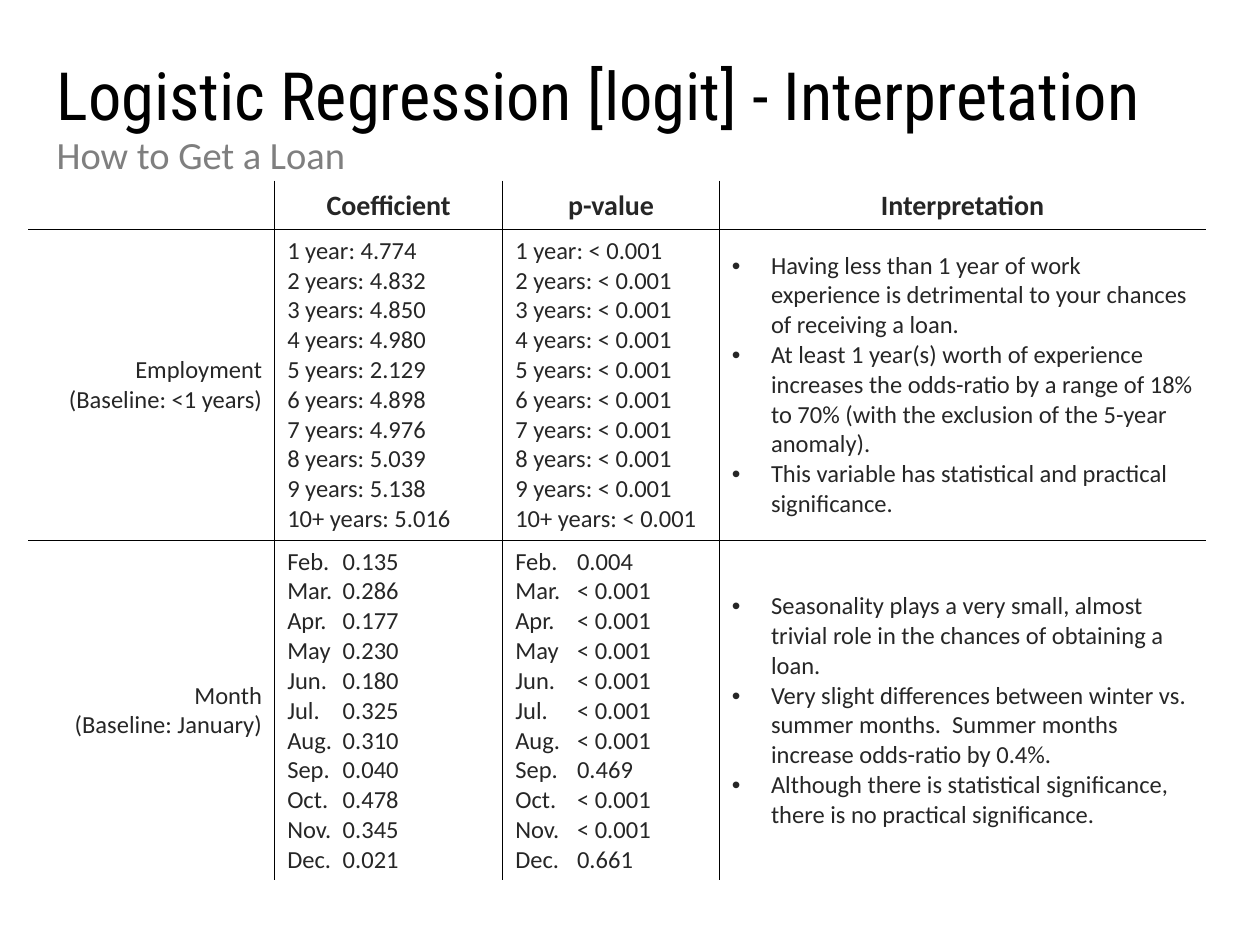
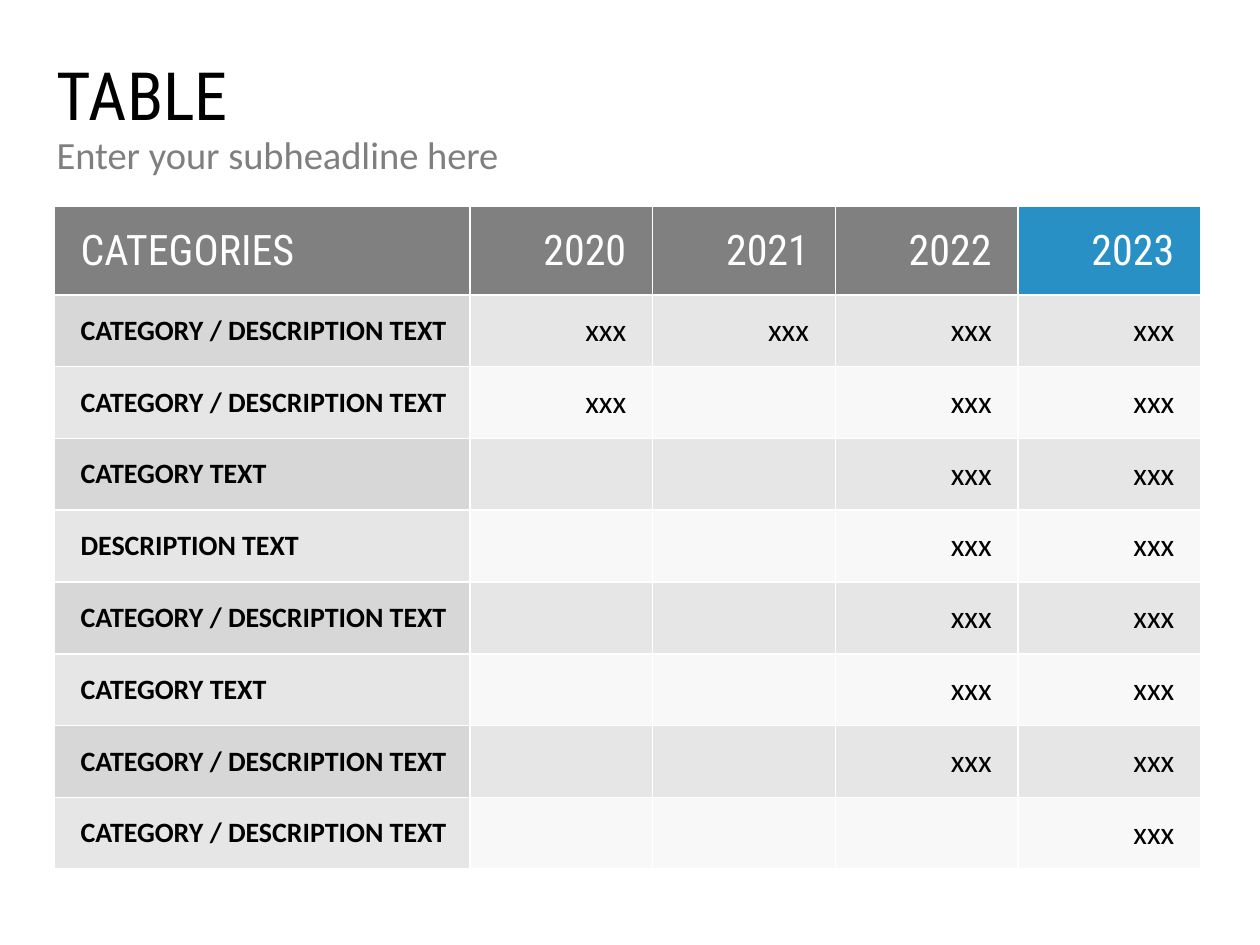
from lxml.etree import SubElement
from pptx import Presentation
from pptx.dml.color import RGBColor
from pptx.enum.text import MSO_ANCHOR, PP_ALIGN
from pptx.oxml.ns import qn
from pptx.util import Pt

PX = 9144
BODY, HEAD = "Calibri", "Roboto Condensed"
HUE = {
    "black": "000000", "white": "FFFFFF", "ink": "262626",
    "sub": "7F7F7F", "bar": "808080", "blue": "2890C4",
    "dark": "D7D7D7", "mid": "E6E6E6", "pale": "F8F8F8",
}
FONT = {
    "title": {"name": HEAD, "size": Pt(38), "hue": "black"},
    "sub": {"name": BODY, "size": Pt(22), "hue": "sub"},
    "top": {"name": BODY, "size": Pt(16), "bold": True, "hue": "ink"},
    "note": {"name": BODY, "size": Pt(14), "bold": False, "hue": "ink"},
    "year": {"name": HEAD, "size": Pt(24), "bold": False, "hue": "white"},
    "label": {"name": BODY, "size": Pt(16), "bold": True, "hue": "black"},
    "mark": {"name": BODY, "size": Pt(18), "bold": False, "hue": "black"},
}
LEFT, MID, RIGHT = PP_ALIGN.LEFT, PP_ALIGN.CENTER, PP_ALIGN.RIGHT
SIDES = ("L", "R", "T", "B")

TOPS = ["", "Coefficient", "p-value", "Interpretation"]
TERMS = ["1 year"] + [f"{n} years" for n in (*range(2, 10), "10+")]
WORK = ["4.774", "4.832", "4.850", "4.980", "2.129",
        "4.898", "4.976", "5.039", "5.138", "5.016"]
MONTHS = ["Feb.", "Mar.", "Apr.", "May", "Jun.", "Jul.",
          "Aug.", "Sep.", "Oct.", "Nov.", "Dec."]
SEASON = ["0.135", "0.286", "0.177", "0.230", "0.180", "0.325",
          "0.310", "0.040", "0.478", "0.345", "0.021"]
LOW = "< 0.001"
ODDS = ["0.004", *[LOW] * 6, "0.469", LOW, LOW, "0.661"]
WORK_NOTES = [
    "Having less than 1 year of work experience is detrimental to your "
    "chances of receiving a loan.",
    "At least 1 year(s) worth of experience increases the odds-ratio by a "
    "range of 18% to 70% (with the exclusion of the 5-year anomaly).",
    "This variable has statistical and practical significance.",
]
MONTH_NOTES = [
    "Seasonality plays a very small, almost trivial role in the chances of "
    "obtaining a loan.",
    "Very slight differences between winter vs. summer months.  Summer "
    "months increase odds-ratio by 0.4%.",
    "Although there is statistical significance, there is no practical "
    "significance.",
]

BOTH, CAT, DESC = "CATEGORY / DESCRIPTION TEXT", "CATEGORY TEXT", "DESCRIPTION TEXT"
YEARS = ["CATEGORIES", "2020", "2021", "2022", "2023"]
MARKS = [(BOTH, "1111"), (BOTH, "1011"), (CAT, "0011"), (DESC, "0011"),
         (BOTH, "0011"), (CAT, "0011"), (BOTH, "0011"), (BOTH, "0001")]


def rgb(hue):
    """Return the named colour."""
    return RGBColor.from_string(HUE[hue])


def apply(item, vals):
    """Set each attribute of item from a dict."""
    for name, val in vals.items():
        setattr(item, name, val)


def write(para, text, kind):
    """Write text in a named font, or size the paragraph if it is empty."""
    look = dict(FONT[kind])
    hue = look.pop("hue")
    if not text:
        SubElement(para._p, qn("a:endParaRPr"), sz=str(int(look["size"].pt * 100)))
        return
    run = para.add_run()
    run.text = text
    apply(run.font, look)
    run.font.color.rgb = rgb(hue)


def box(slide, top, high, text, kind):
    """Add one heading line across the slide."""
    shape = slide.shapes.add_textbox(45 * PX, top * PX, 910 * PX, high * PX)
    frame = shape.text_frame
    apply(frame, {"word_wrap": True, "margin_left": 0, "margin_right": 10 * PX,
                  "margin_top": 5 * PX, "margin_bottom": 5 * PX})
    para = frame.paragraphs[0]
    para.line_spacing = 0.9
    write(para, text, kind)


def heads(slide, title, sub):
    """Add the title and the line below it."""
    box(slide, 45, 117, title, "title")
    box(slide, 103, 59, sub, "sub")


def grid(slide, left, top, cols, rows):
    """Add a plain table with given column widths and row heights."""
    shape = slide.shapes.add_table(len(rows), len(cols), left * PX, top * PX,
                                   sum(cols) * PX, sum(rows) * PX)
    table = shape.table
    apply(table, {"first_row": False, "horz_banding": False})
    for col, wide in zip(table.columns, cols):
        col.width = wide * PX
    for row, high in zip(table.rows, rows):
        row.height = high * PX
    return table


def edge(cell, hues):
    """Draw the cell's borders in left, right, top, bottom order."""
    props = cell._tc.get_or_add_tcPr()
    for side, hue in zip(SIDES, hues):
        line = SubElement(props, qn(f"a:ln{side}"), w=str(Pt(1)))
        fill = SubElement(line, qn("a:solidFill"))
        SubElement(fill, qn("a:srgbClr"), val=HUE[hue])


def paint(cell, hue):
    """Fill the cell, or clear it when there is no colour."""
    if hue:
        cell.fill.solid()
        cell.fill.fore_color.rgb = rgb(hue)
    else:
        cell.fill.background()


def dot(para):
    """Give the paragraph a hanging bullet."""
    props = para._p.get_or_add_pPr()
    apply_xml = {"marL": 31 * PX, "indent": -31 * PX}
    for name, val in apply_xml.items():
        props.set(name, str(val))
    SubElement(props, qn("a:buFont"), typeface="Arial")
    SubElement(props, qn("a:buChar"), char="•")


def stop(para, pos):
    """Set a left tab stop."""
    tabs = SubElement(para._p.get_or_add_pPr(), qn("a:tabLst"))
    SubElement(tabs, qn("a:tab"), pos=str(pos * PX), algn="l")


def fill(cell, lines, kind, align, tab=0, list_on=False):
    """Write the lines into a cell, one paragraph each."""
    frame = cell.text_frame
    for num, text in enumerate(lines):
        para = frame.add_paragraph() if num else frame.paragraphs[0]
        para.alignment = align
        if list_on:
            dot(para)
        if tab:
            stop(para, tab)
        write(para, text, kind)


def pair(keys, vals, gap):
    """Join each key to its value."""
    return [f"{key}{gap}{val}" for key, val in zip(keys, vals)]


def loan(slide):
    """Build the regression table."""
    heads(slide, "Logistic Regression [logit] - Interpretation", "How to Get a Loan")
    table = grid(slide, 23, 144, [195, 181, 172, 386], [38, 247, 270])
    for num, text in enumerate(TOPS):
        fill(table.cell(0, num), [text], "top", MID)
    body = [
        (["Employment (Baseline: <1 years)"], pair(TERMS, WORK, ": "),
         pair(TERMS, [LOW] * len(TERMS), ": "), WORK_NOTES, (0, 0)),
        (["Month", "(Baseline: January)"], pair(MONTHS, SEASON, "\t"),
         pair(MONTHS, ODDS, "\t"), MONTH_NOTES, (44, 49)),
    ]
    for num, (name, coefs, odds, notes, tabs) in enumerate(body, 1):
        fill(table.cell(num, 0), name, "note", RIGHT)
        fill(table.cell(num, 1), coefs, "note", LEFT, tabs[0])
        fill(table.cell(num, 2), odds, "note", LEFT, tabs[1])
        fill(table.cell(num, 3), notes, "note", LEFT, list_on=True)
    for row in range(3):
        for col in range(4):
            cell = table.cell(row, col)
            outer = (col == 0, col == 3, row == 0, row == 2)
            edge(cell, ["white" if out else "black" for out in outer])
            paint(cell, None)
            cell.vertical_anchor = MSO_ANCHOR.MIDDLE if row else MSO_ANCHOR.BOTTOM


def shade(row, col):
    """Pick the fill for a place in the category table."""
    if row == 0:
        return "blue" if col == 4 else "bar"
    if col == 0:
        return "dark" if row % 2 else "mid"
    return "mid" if row % 2 else "pale"


def sample(slide):
    """Build the category table."""
    table = grid(slide, 43, 164, [330] + [145] * 4, [70] + [57] * 8)
    rows = [YEARS] + [[name] + ["xxx" if bit == "1" else "" for bit in bits]
                      for name, bits in MARKS]
    for row, texts in enumerate(rows):
        for col, text in enumerate(texts):
            cell = table.cell(row, col)
            kind = "mark" if row and col else "label" if row else "year"
            near, far = (9, 21) if col else (21, 9)
            apply(cell, {"margin_left": near * PX, "margin_right": far * PX,
                         "margin_top": 4 * PX, "margin_bottom": 4 * PX,
                         "vertical_anchor": MSO_ANCHOR.MIDDLE})
            fill(cell, [text], kind, RIGHT if col else LEFT)
            edge(cell, ["white"] * 4)
            paint(cell, shade(row, col))
    heads(slide, "TABLE", "Enter your subheadline here")


def main():
    """Build and save both slides."""
    deck = Presentation()
    apply(deck, {"slide_width": 1000 * PX, "slide_height": 750 * PX})
    for build in (loan, sample):
        build(deck.slides.add_slide(deck.slide_layouts[6]))
    deck.save("out.pptx")


if __name__ == "__main__":
    main()
